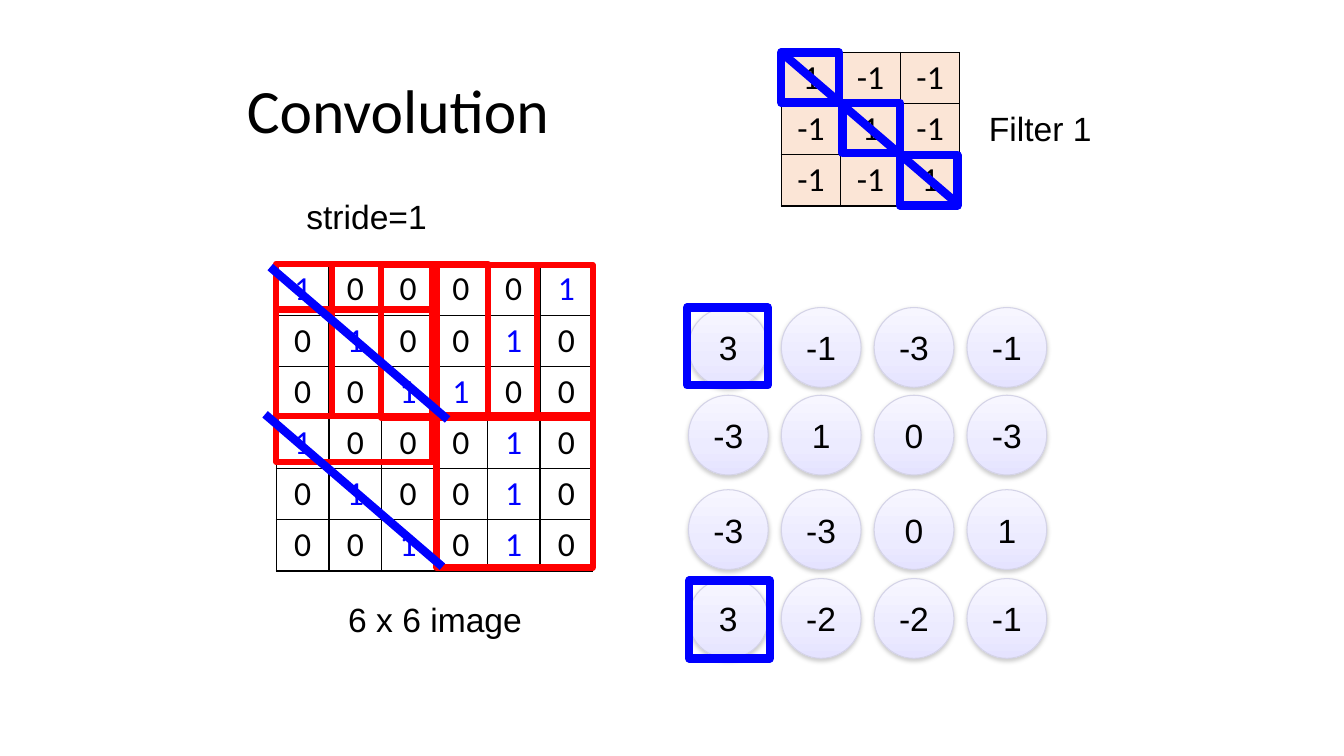
"""Build the slide on convolution with a stride of one."""
import copy
import dataclasses

import lxml.etree
import pptx
import pptx.dml.color
import pptx.enum.shapes
import pptx.enum.text
import pptx.oxml.ns
import pptx.util

Cm = pptx.util.Cm
Pt = pptx.util.Pt


@dataclasses.dataclass(frozen=True)
class Theme:
    """Hold the colours, fonts and type sizes."""
    black: str = "000000"
    blue: str = "0000FF"
    red: str = "FF0000"
    peach: str = "FBE5D6"
    rim: str = "D4D3E7"
    shade: str = "808080"
    glow: tuple = ((0, "F7F6FF"), (0.65, "ECEBFF"), (1, "E5E3FF"))
    sans: str = "Arial"
    head: str = "Calibri"
    large: int = 44
    body: int = 24


THEME = Theme()
MID = pptx.enum.text.MSO_ANCHOR.MIDDLE
LEFT = pptx.enum.text.PP_ALIGN.LEFT
CENTER = pptx.enum.text.PP_ALIGN.CENTER
SHAPE = pptx.enum.shapes.MSO_SHAPE

IMAGE = ["100001", "010010", "001100", "100010", "010010", "001010"]
FILTER = [["1", "-1", "-1"], ["-1", "1", "-1"], ["-1", "-1", "1"]]
RESULT = [(7.75, [3, -1, -3, -1]), (9.96, [-3, 1, 0, -3]),
          (12.34, [-3, -3, 0, 1]), (14.58, [3, -2, -2, -1])]
PATCHES = [(6.96, 6.65), (8.36, 6.65), (9.6, 6.68), (11, 6.68),
           (6.96, 7.8), (11, 10.46)]
ONES = [(19.69, 1.32), (21.23, 2.59), (22.68, 3.91)]
HITS = [(17.32, 7.75), (17.37, 14.63)]
SLANTS = [(19.69, 1.32), (6.81, 6.73), (6.68, 10.44)]


def tint(code):
    """Return a colour from its hex code."""
    return pptx.dml.color.RGBColor.from_string(code)


def node(top, tag, **attrs):
    """Add a drawing element under another."""
    return lxml.etree.SubElement(top, pptx.oxml.ns.qn(tag), attrs)


def write(frame, words, size=THEME.body, face=THEME.sans, hue=THEME.black,
          align=CENTER):
    """Put one run of text in a frame."""
    para = frame.paragraphs[0]
    para.alignment = align
    run = para.add_run()
    run.text = words
    run.font.size = Pt(size)
    run.font.name = face
    run.font.color.rgb = tint(hue)
    return para


def label(slide, words, spot, wrap=True, **style):
    """Add a text box."""
    frame = slide.shapes.add_textbox(*map(Cm, spot)).text_frame
    frame.word_wrap = wrap
    return frame, write(frame, words, **style)


def edge(cell):
    """Draw thin black lines round a cell."""
    props = cell._tc.get_or_add_tcPr()
    for side in ("a:lnL", "a:lnR", "a:lnT", "a:lnB"):
        line = node(props, side, w=str(Pt(1)))
        node(node(line, "a:solidFill"), "a:srgbClr", val=THEME.black)


def grid(slide, rows, left, top, width, fill=None, one=THEME.black):
    """Add a table of digits with even cells."""
    high, wide = len(rows), len(rows[0])
    table = slide.shapes.add_table(high, wide, Cm(left), Cm(top),
                                   Cm(width * wide), Cm(1.29 * high)).table
    table.first_row = table.horz_banding = False
    for col in table.columns:
        col.width = Cm(width)
    for r, row in enumerate(rows):
        table.rows[r].height = Cm(1.29)
        for c, digit in enumerate(row):
            cell = table.cell(r, c)
            write(cell.text_frame, digit, face=THEME.head,
                  hue=one if digit == "1" else THEME.black)
            edge(cell)
            if fill:
                cell.fill.solid()
                cell.fill.fore_color.rgb = tint(fill)
            else:
                cell.fill.background()


def frames(slide, spots, width, height, hue, weight):
    """Add equal hollow frames."""
    for left, top in spots:
        frame = slide.shapes.add_shape(SHAPE.RECTANGLE, Cm(left), Cm(top),
                                       Cm(width), Cm(height))
        frame.shadow.inherit = False
        frame.fill.background()
        frame.line.color.rgb = tint(hue)
        frame.line.width = Pt(weight)


def ball(slide, words, left, top):
    """Add a shaded circle with a number."""
    disc = slide.shapes.add_shape(SHAPE.OVAL, Cm(left), Cm(top),
                                  Cm(2.01), Cm(2.01))
    disc.fill.gradient()
    disc.fill.gradient_angle = 270
    props = disc.element.spPr
    stops = props.find(".//" + pptx.oxml.ns.qn("a:gsLst"))
    stops.append(copy.deepcopy(stops[-1]))
    for stop, (place, hue) in zip(disc.fill.gradient_stops, THEME.glow):
        stop.position = place
        stop.color.rgb = tint(hue)
    disc.line.color.rgb = tint(THEME.rim)
    disc.line.width = Pt(0.75)
    disc.shadow.inherit = False
    cast = node(props.find(pptx.oxml.ns.qn("a:effectLst")), "a:outerShdw",
                blurRad=str(Pt(3.1)), dist=str(Pt(1.6)), dir="5400000",
                rotWithShape="0")
    node(node(cast, "a:srgbClr", val=THEME.shade), "a:alpha", val="38000")
    disc.text_frame.vertical_anchor = MID
    write(disc.text_frame, words)


def slant(slide, left, top):
    """Add a thick line down a diagonal."""
    line = slide.shapes.add_connector(
        pptx.enum.shapes.MSO_CONNECTOR.STRAIGHT, Cm(left), Cm(top),
        Cm(left + 4.47), Cm(top + 3.84))
    line.line.color.rgb = tint(THEME.blue)
    line.line.width = Pt(6)
    node(line.element.spPr, "a:effectLst")


def main():
    """Lay out the slide and save it."""
    deck = pptx.Presentation()
    deck.slide_width, deck.slide_height = Cm(33.87), Cm(19.05)
    slide = deck.slides.add_slide(deck.slide_layouts[6])

    frame, para = label(slide, "Convolution", (5.97, 1.02, 21.89, 3.68),
                        size=THEME.large, face=THEME.head, align=LEFT)
    frame.vertical_anchor = MID
    para.line_spacing = 0.9

    grid(slide, IMAGE, 6.96, 6.65, 1.33, one=THEME.blue)
    label(slide, "6 x 6 image", (7.7, 14.96, 6.53, 1.27))
    grid(slide, FILTER, 19.69, 1.32, 1.5, fill=THEME.peach)
    label(slide, "Filter 1", (24.21, 2.59, 4.01, 1.3))
    label(slide, "stride=1", (7.47, 4.8, 3.58, 1.27), wrap=False, align=LEFT)

    for top, row in RESULT:
        for c, value in enumerate(row):
            ball(slide, str(value), 17.35 + 2.34 * c, top)

    frames(slide, PATCHES, 3.94, 3.84, THEME.red, 4.5)
    frames(slide, ONES, 1.45, 1.27, THEME.blue, 6)
    frames(slide, HITS, 2.03, 1.96, THEME.blue, 6)
    for left, top in SLANTS:
        slant(slide, left, top)
    deck.save("out.pptx")


if __name__ == "__main__":
    main()
